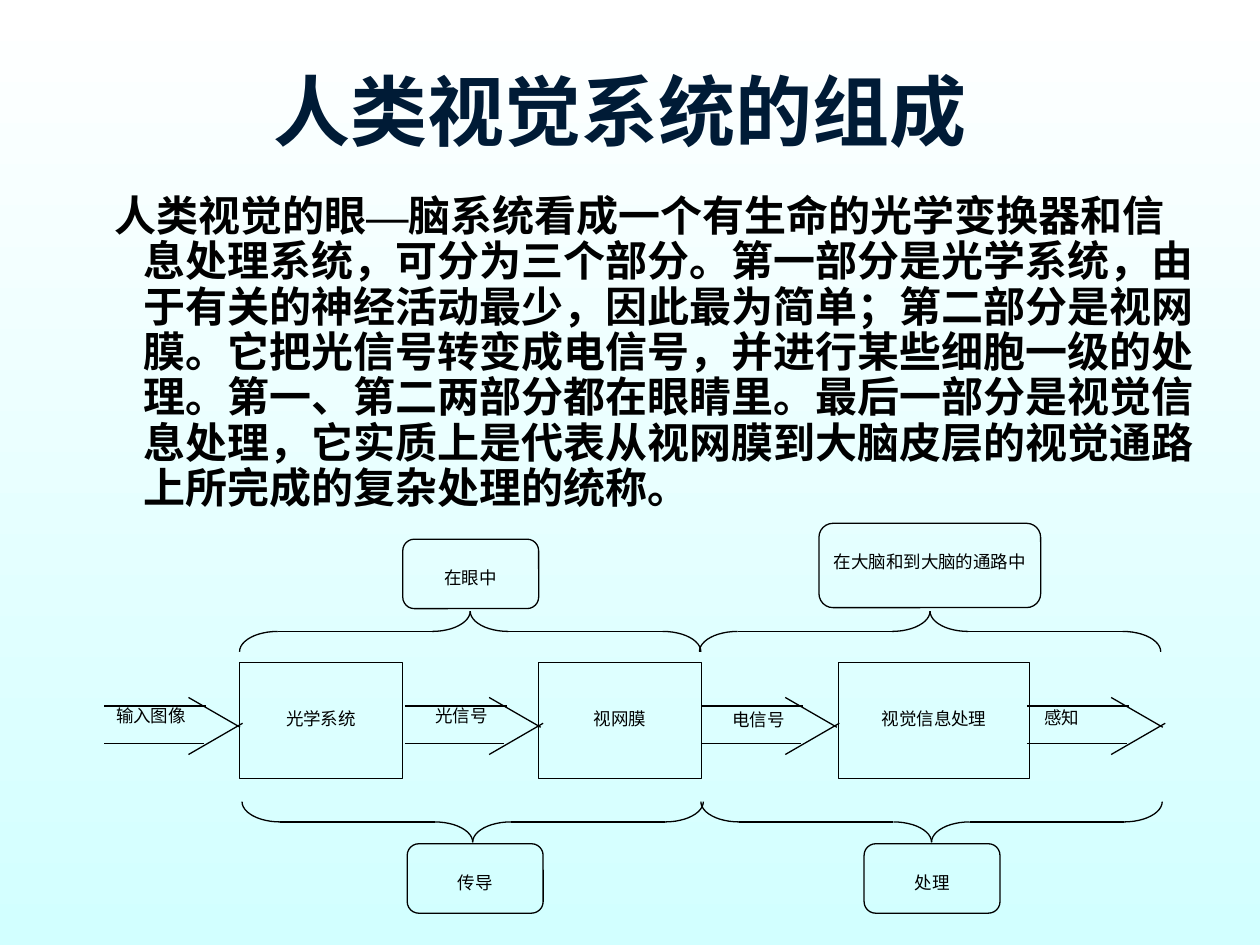
import math

from pptx import Presentation
from pptx.dml.color import RGBColor
from pptx.enum.lang import MSO_LANGUAGE_ID
from pptx.enum.shapes import MSO_CONNECTOR, MSO_SHAPE
from pptx.enum.text import MSO_ANCHOR, MSO_AUTO_SIZE, PP_ALIGN
from pptx.oxml.ns import qn
from pptx.util import Cm, Pt

STRAIGHT = MSO_CONNECTOR.STRAIGHT
RECT, ROUND_RECT = MSO_SHAPE.RECTANGLE, MSO_SHAPE.ROUNDED_RECTANGLE
TOP, MIDDLE = MSO_ANCHOR.TOP, MSO_ANCHOR.MIDDLE
CENTER, JUSTIFY, LEFT = PP_ALIGN.CENTER, PP_ALIGN.JUSTIFY, PP_ALIGN.LEFT
NO_AUTOFIT = MSO_AUTO_SIZE.NONE
CHINESE = MSO_LANGUAGE_ID.SIMPLIFIED_CHINESE

BLACK, NAVY, WHITE, PALE_CYAN = "000000", "001B36", "FFFFFF", "D2FFFF"
SERIF, HEADING_FONT, BODY_FONT, DASH_FONT = "Times New Roman", "Lato", "Noto Sans CJK SC", "Arial"
LINE_WIDTH = Pt(0.75)
INSET = 0.08

BODY_RUNS = [
    ("人类视觉的眼", BODY_FONT, HEADING_FONT),
    ("—", DASH_FONT, SERIF),
    ("脑系统看成一个有生命的光学变换器和信息处理系统，可分为三个部分。"
     "第一部分是光学系统，由于有关的神经活动最少，因此最为简单；"
     "第二部分是视网膜。它把光信号转变成电信号，并进行某些细胞一级的处理。"
     "第一、第二两部分都在眼睛里。最后一部分是视觉信息处理，"
     "它实质上是代表从视网膜到大脑皮层的视觉通路上所完成的复杂处理的统称。",
     BODY_FONT, HEADING_FONT),
]

STAGE_TOP, STAGE_HEIGHT, STAGE_LEAD = 13.36, 2.34, 0.92
STAGES = [("光学系统", 4.83, 3.28), ("视网膜", 10.85, 3.29), ("视觉信息处理", 16.91, 3.84)]

NOTES = [
    ("在眼中", (8.12, 10.87, 2.74, 1.4), 0.5),
    ("在大脑和到大脑的通路中", (16.51, 10.55, 4.47, 1.7), 0.47),
    ("传导", (8.21, 17.01, 2.74, 1.4), 0.5),
    ("处理", (17.42, 17.01, 2.74, 1.4), 0.5),
]

SIGNALS = [
    ("输入图像", (1.47, 14.12, 3.15, 0.94)),
    ("光信号", (8.1, 14.12, 2.41, 0.94)),
    ("电信号", (13.72, 14.2, 3.15, 0.94)),
]

ARROW_LEFTS = [2.1, 8.16, 14.13, 20.7]
# Two shaft lines and two head lines, x measured from the arrow's tail
ARROW_STROKES = [
    (0, 14.23, 2.06, 14.23), (0, 14.99, 2.01, 14.99),
    (1.7, 14.06, 2.74, 14.66), (1.7, 15.21, 2.79, 14.58),
]

BRACE_LENGTH, CURVE_WIDTH, CURVE_HEIGHT, CURVE_STEPS = 9.3, 0.77, 0.41, 12
POINT_UP, POINT_DOWN = -1, 1
# Direction of the tip, left end, height of the straight part
BRACES = [
    (POINT_UP, 4.83, 12.73), (POINT_UP, 14.1, 12.73),
    (POINT_DOWN, 4.88, 16.57), (POINT_DOWN, 14.13, 16.57),
]


def color(hex_code):
    return RGBColor.from_string(hex_code)


def cm_box(box):
    return [Cm(length) for length in box]


def add_run(paragraph, text, size, latin, hex_code=BLACK, bold=False, east_asian=HEADING_FONT):
    run = paragraph.add_run()
    run.text = text
    font = run.font
    font.size, font.bold, font.name = Pt(size), bold, latin
    font.language_id = CHINESE
    font.color.rgb = color(hex_code)
    ea = run._r.get_or_add_rPr().makeelement(qn("a:ea"), {"typeface": east_asian})
    font._element.find(qn("a:latin")).addnext(ea)


def place(placeholder, box, anchor):
    placeholder.left, placeholder.top, placeholder.width, placeholder.height = cm_box(box)
    frame = placeholder.text_frame
    frame.word_wrap, frame.auto_size = True, NO_AUTOFIT
    frame.vertical_anchor = anchor
    return frame.paragraphs[0]


def fill_background(slide):
    fill = slide.background.fill
    fill.gradient()
    fill.gradient_angle = 270
    for stop, hex_code in zip(fill.gradient_stops, (WHITE, PALE_CYAN)):
        stop.color.rgb = color(hex_code)


def write_title(slide):
    paragraph = place(slide.shapes.title, (0.83, 0.62, 23.72, 3.18), MIDDLE)
    paragraph.alignment = CENTER
    add_run(paragraph, "人类视觉系统的组成 ", 44, HEADING_FONT, NAVY, bold=True)


def write_body(slide):
    paragraph = place(slide.placeholders[1], (1.68, 3.81, 22.66, 6.68), TOP)
    properties = paragraph._p.get_or_add_pPr()
    properties.set("marL", str(Cm(0.95)))
    properties.set("indent", str(Cm(-0.58)))
    properties.append(properties.makeelement(qn("a:buNone"), {}))
    paragraph.alignment = LEFT
    paragraph.line_spacing = 0.9
    paragraph.space_before = Pt(0)
    for text, latin, east_asian in BODY_RUNS:
        add_run(paragraph, text, 24, latin, bold=True, east_asian=east_asian)


def write_label(shape, text, lead=INSET, spacing=1.0, alignment=CENTER):
    """Write small text that starts the length lead below the top of the shape."""
    frame = shape.text_frame
    frame.word_wrap, frame.vertical_anchor = True, TOP
    frame.margin_left = frame.margin_right = frame.margin_bottom = Cm(INSET)
    frame.margin_top = Cm(lead)
    paragraph = frame.paragraphs[0]
    paragraph.alignment, paragraph.line_spacing = alignment, spacing
    add_run(paragraph, text, 10, SERIF)


def draw_line(line):
    line.color.rgb = color(BLACK)
    line.width = LINE_WIDTH


def add_outline(slide, preset, box, lined=True):
    shape = slide.shapes.add_shape(preset, *cm_box(box))
    shape.shadow.inherit = False
    shape.fill.background()
    if lined:
        draw_line(shape.line)
    else:
        shape.line.fill.background()
    return shape


def add_line(slide, x1, y1, x2, y2):
    connector = slide.shapes.add_connector(STRAIGHT, *cm_box((x1, y1, x2, y2)))
    draw_line(connector.line)
    properties = connector._element.spPr
    properties.append(properties.makeelement(qn("a:effectLst"), {}))


def add_arrow(slide, left):
    for x1, y1, x2, y2 in ARROW_STROKES:
        add_line(slide, left + x1, y1, left + x2, y2)


def add_curve(slide, x1, y1, x2, y2):
    """Add a quarter ellipse that leaves its first point horizontally."""
    angles = [math.pi / 2 * step / CURVE_STEPS for step in range(1, CURVE_STEPS + 1)]
    points = [(Cm(x1 + (x2 - x1) * math.sin(angle)), Cm(y1 + (y2 - y1) * (1 - math.cos(angle))))
              for angle in angles]
    builder = slide.shapes.build_freeform(Cm(x1), Cm(y1))
    builder.add_line_segments(points, close=False)
    curve = builder.convert_to_shape()
    curve.shadow.inherit = False
    curve.fill.background()
    draw_line(curve.line)


def add_brace(slide, direction, left, y):
    middle, right = left + BRACE_LENGTH / 2, left + BRACE_LENGTH
    tip, end = y + direction * CURVE_HEIGHT, y - direction * CURVE_HEIGHT
    for outer, side in ((left, 1), (right, -1)):
        outer_bend, inner_bend = outer + side * CURVE_WIDTH, middle - side * CURVE_WIDTH
        add_curve(slide, outer_bend, y, outer, end)
        add_line(slide, outer_bend, y, inner_bend, y)
        add_curve(slide, inner_bend, y, middle, tip)


def main():
    presentation = Presentation()
    presentation.slide_width, presentation.slide_height = Cm(25.4), Cm(19.05)
    slide = presentation.slides.add_slide(presentation.slide_layouts[1])
    fill_background(slide)
    write_title(slide)
    write_body(slide)

    for text, left, width in STAGES:
        stage = add_outline(slide, RECT, (left, STAGE_TOP, width, STAGE_HEIGHT))
        write_label(stage, text, STAGE_LEAD)
    for left in ARROW_LEFTS:
        add_arrow(slide, left)
    for direction, left, y in BRACES:
        add_brace(slide, direction, left, y)
    for text, box, lead in NOTES:
        write_label(add_outline(slide, ROUND_RECT, box), text, lead)
    for text, box in SIGNALS:
        write_label(add_outline(slide, ROUND_RECT, box, lined=False), text, spacing=0.96)
    perception = slide.shapes.add_textbox(*cm_box((20.97, 14.25, 1.65, 0.81)))
    write_label(perception, "感知", spacing=0.8, alignment=JUSTIFY)

    presentation.save("out.pptx")


if __name__ == "__main__":
    main()
